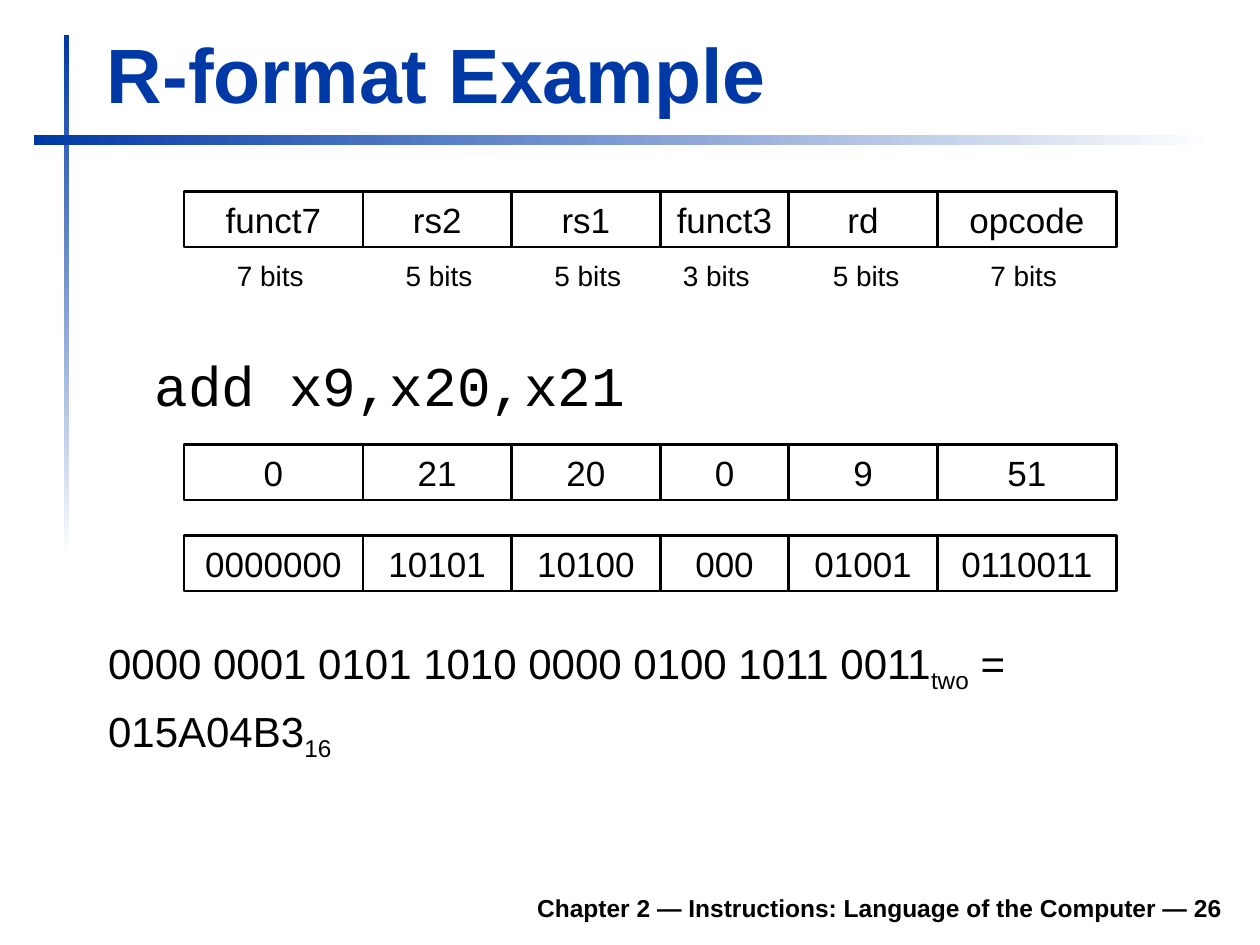
from pptx import Presentation
from pptx.dml.color import RGBColor
from pptx.enum.shapes import MSO_SHAPE
from pptx.enum.text import MSO_ANCHOR, PP_ALIGN
from pptx.util import Inches, Pt

RECT = MSO_SHAPE.RECTANGLE
TOP, MIDDLE, BOTTOM = MSO_ANCHOR.TOP, MSO_ANCHOR.MIDDLE, MSO_ANCHOR.BOTTOM
LEFT, CENTER, RIGHT = PP_ALIGN.LEFT, PP_ALIGN.CENTER, PP_ALIGN.RIGHT

WIDTH, HEIGHT = Inches(10), Inches(7.5)
BLUE, BLACK, WHITE = "0039A6", "000000", "FFFFFF"

FIELDS = ["funct7", "rs2", "rs1", "funct3", "rd", "opcode"]
BITS = ["7 bits", "5 bits", "5 bits", "3 bits", "5 bits", "7 bits"]
DECIMAL = ["0", "21", "20", "0", "9", "51"]
BINARY = ["0000000", "10101", "10100", "000", "01001", "0110011"]
COLUMNS = [14.2, 11.8, 11.8, 10.2, 11.8, 14.2]
BIT_INDENTS = [3.2, 2.4, 2.4, 0.8, 2.5, 3.2]
BIT_WIDTH = 7.3


def color(value):
    return RGBColor.from_string(value)


def place(box):
    x, y, w, h = box
    return [round(share * size / 100)
            for share, size in zip((x, y, w, h), (WIDTH, HEIGHT) * 2)]


def style(p, size, font="Arial", fill=BLACK, bold=False, align=LEFT):
    p.alignment = align
    for r in p.runs:
        r.font.size = Pt(size)
        r.font.name = font
        r.font.bold = bold
        r.font.color.rgb = color(fill)


def add_text(slide, box, text, size, anchor=TOP, wrap=True, **look):
    tf = slide.shapes.add_textbox(*place(box)).text_frame
    tf.word_wrap = wrap
    tf.vertical_anchor = anchor
    tf.text = text
    p = tf.paragraphs[0]
    style(p, size, **look)
    return p


def add_bar(slide, box, angle):
    sp = slide.shapes.add_shape(RECT, *place(box))
    sp.shadow.inherit = False
    sp.line.fill.background()
    sp.fill.gradient()
    sp.fill.gradient_angle = angle
    for stop, value in zip(sp.fill.gradient_stops, (BLUE, WHITE)):
        stop.color.rgb = color(value)


def add_cells(slide, box, values):
    x, y, w, h = box
    for value, share in zip(values, COLUMNS):
        width = w * share / sum(COLUMNS)
        sp = slide.shapes.add_shape(RECT, *place((x, y, width, h)))
        sp.shadow.inherit = False
        sp.fill.background()
        sp.line.color.rgb = color(BLACK)
        sp.line.width = Pt(1.5)
        tf = sp.text_frame
        tf.word_wrap = True
        tf.vertical_anchor = MIDDLE
        tf.text = value
        style(tf.paragraphs[0], 20, align=CENTER)
        x += width


def add_bit_counts(slide, box):
    x, y, w, h = box
    for label, share, indent in zip(BITS, COLUMNS, BIT_INDENTS):
        add_text(slide, (x + indent, y, BIT_WIDTH, h), label, 16,
                 wrap=False, align=CENTER)
        x += w * share / sum(COLUMNS)


def add_instruction(slide, box):
    p = add_text(slide, box, "add x9,x20,x21", 32, font="Courier New")
    p.space_before = Pt(8)
    p._p.get_or_add_pPr().set("marL", str(Inches(0.38)))


def add_encoding(slide, box):
    tf = slide.shapes.add_textbox(*place(box)).text_frame
    tf.word_wrap = True
    lines = [("0000 0001 0101 1010 0000 0100 1011 0011", "two", " ="),
             ("015A04B3", "16")]
    for i, parts in enumerate(lines):
        p = tf.add_paragraph() if i else tf.paragraphs[0]
        p.space_before = Pt(6)
        for part in parts:
            p.add_run().text = part
        style(p, 24)
        p.runs[1].font._element.set("baseline", "-25000")


def add_frame(slide):
    add_bar(slide, (5.1, 3.73, 0.4, 55.6), 270)
    add_bar(slide, (2.7, 14.27, 93.7, 1.07), 0)
    add_text(slide, (18.5, 93.07, 79.5, 5.2),
             "Chapter 2 — Instructions: Language of the Computer — 26",
             14, anchor=BOTTOM, bold=True, align=RIGHT)
    add_text(slide, (7.5, 2.13, 90.3, 11.07), "R-format Example",
             44, anchor=BOTTOM, fill=BLUE, bold=True)


def main():
    prs = Presentation()
    prs.slide_width, prs.slide_height = WIDTH, HEIGHT
    slide = prs.slides.add_slide(prs.slide_layouts[6])
    add_frame(slide)
    add_instruction(slide, (7.5, 36.4, 90.4, 9.47))
    add_encoding(slide, (7.6, 66.8, 79.4, 20.67))
    for y, values in ((20.27, FIELDS), (47.07, DECIMAL), (56.67, BINARY)):
        add_cells(slide, (14.6, y, sum(COLUMNS), 5.87), values)
    add_bit_counts(slide, (14.6, 26.67, sum(COLUMNS), 4.93))
    prs.save("out.pptx")


if __name__ == "__main__":
    main()
